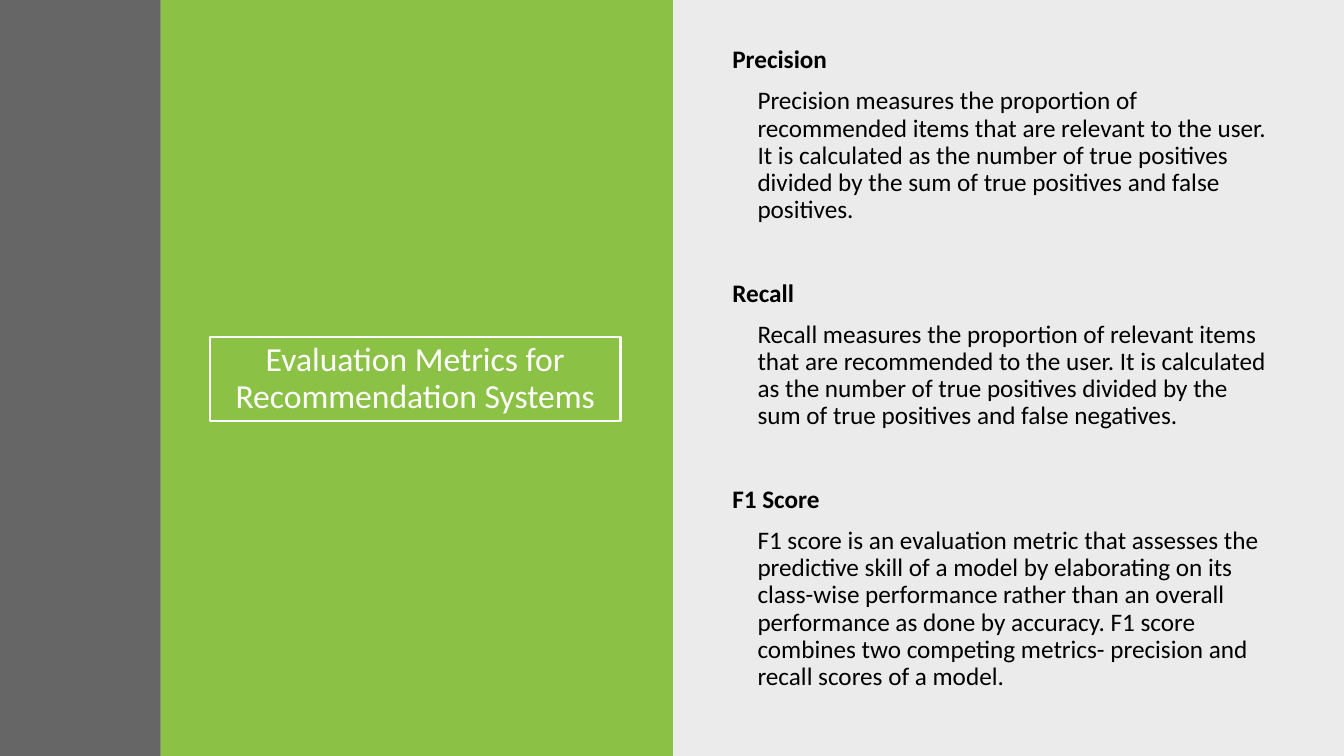
from collections import namedtuple

from lxml import etree
from pptx import Presentation
from pptx import util as u
from pptx.dml.color import RGBColor
from pptx.enum import shapes, text
from pptx.oxml import ns

PX = 9525
FONT = "Calibri"
BLACK = RGBColor(0x00, 0x00, 0x00)
WHITE = RGBColor(0xFF, 0xFF, 0xFF)
GREEN = RGBColor(0x8B, 0xC1, 0x45)
CHARCOAL = RGBColor(0x40, 0x40, 0x40)

Box = namedtuple("Box", "left top width height")

PAGE_WIDTH, PAGE_HEIGHT = 1280, 720
STRIP = Box(0, 0, 153, PAGE_HEIGHT)
TITLE_PANEL = Box(153, 0, 488, PAGE_HEIGHT)
METRICS_PANEL = Box(640, 0, 640, PAGE_HEIGHT)

TITLE = "Evaluation Metrics for Recommendation Systems"
METRICS = [
    ("Precision",
     "Precision measures the proportion of recommended items that are relevant "
     "to the user. It is calculated as the number of true positives divided by "
     "the sum of true positives and false positives."),
    ("Recall",
     "Recall measures the proportion of relevant items that are recommended to "
     "the user. It is calculated as the number of true positives divided by the "
     "sum of true positives and false negatives."),
    ("F1 Score",
     "F1 score is an evaluation metric that assesses the predictive skill of a "
     "model by elaborating on its class-wise performance rather than an overall "
     "performance as done by accuracy. F1 score combines two competing metrics- "
     "precision and recall scores of a model."),
]


def emu(box):
    """Return the four lengths of a px box in EMU."""
    return [length * PX for length in box]


def add_panel(page, box, color, opacity=100):
    """Draw a borderless rectangle with the given opacity in percent."""
    panel = page.shapes.add_shape(shapes.MSO_SHAPE.RECTANGLE, *emu(box))
    panel.shadow.inherit = False
    panel.line.fill.background()
    panel.fill.solid()
    panel.fill.fore_color.rgb = color
    if opacity < 100:
        tint = panel._element.spPr.find(".//" + ns.qn("a:srgbClr"))
        etree.SubElement(tint, ns.qn("a:alpha"), val=str(opacity * 1000))


def format_para(para, size, color, bold=False):
    """Set the line spacing and font of a paragraph."""
    para.line_spacing = 0.9
    for span in para.runs:
        span.font.name = FONT
        span.font.size = u.Pt(size)
        span.font.bold = bold
        span.font.color.rgb = color


def build_title_panel(page, box):
    """Fill the green panel and place the outlined title in it."""
    add_panel(page, box, GREEN)
    title = page.shapes.title
    title._element.getparent().append(title._element)
    title.left, title.top, title.width, title.height = emu(
        Box(box.left + 47, box.top + 321, 391, 80))
    title.line.color.rgb = WHITE
    title.line.width = u.Pt(2)
    frame = title.text_frame
    frame.text = TITLE
    frame.word_wrap = True
    frame.auto_size = text.MSO_AUTO_SIZE.NONE
    frame.vertical_anchor = text.MSO_ANCHOR.MIDDLE
    para = frame.paragraphs[0]
    para.alignment = text.PP_ALIGN.CENTER
    format_para(para, 24, WHITE)


def build_metrics_panel(page, box):
    """Fill the pale panel and list each metric with its description."""
    add_panel(page, box, BLACK, opacity=8)
    body = page.shapes.add_textbox(
        *emu(Box(box.left + 48, box.top + 40, 531, 660)))
    frame = body.text_frame
    frame.word_wrap = True
    for index, (name, description) in enumerate(METRICS):
        heading = frame.add_paragraph() if index else frame.paragraphs[0]
        heading.text = name
        heading.space_before = u.Pt(40 if index else 0)
        format_para(heading, 18, BLACK, bold=True)
        detail = frame.add_paragraph()
        detail.text = description
        detail.space_before = u.Pt(10)
        detail._p.get_or_add_pPr().set("marL", str(24 * PX))
        format_para(detail, 18, BLACK)


def main():
    """Build the slide and save the deck."""
    deck = Presentation()
    deck.slide_width = PAGE_WIDTH * PX
    deck.slide_height = PAGE_HEIGHT * PX
    page = deck.slides.add_slide(deck.slide_layouts.get_by_name("Title Only"))
    build_metrics_panel(page, METRICS_PANEL)
    build_title_panel(page, TITLE_PANEL)
    add_panel(page, STRIP, CHARCOAL, opacity=80)
    deck.save("out.pptx")


if __name__ == "__main__":
    main()
